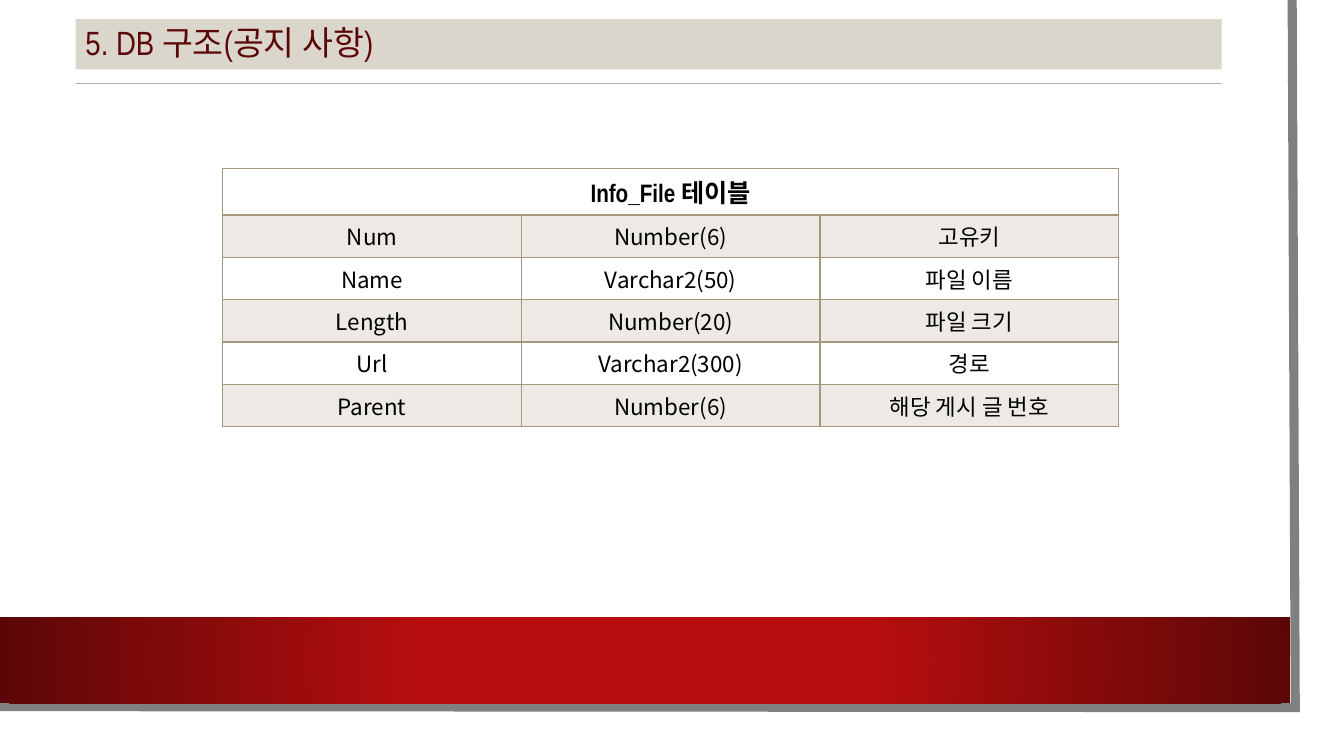
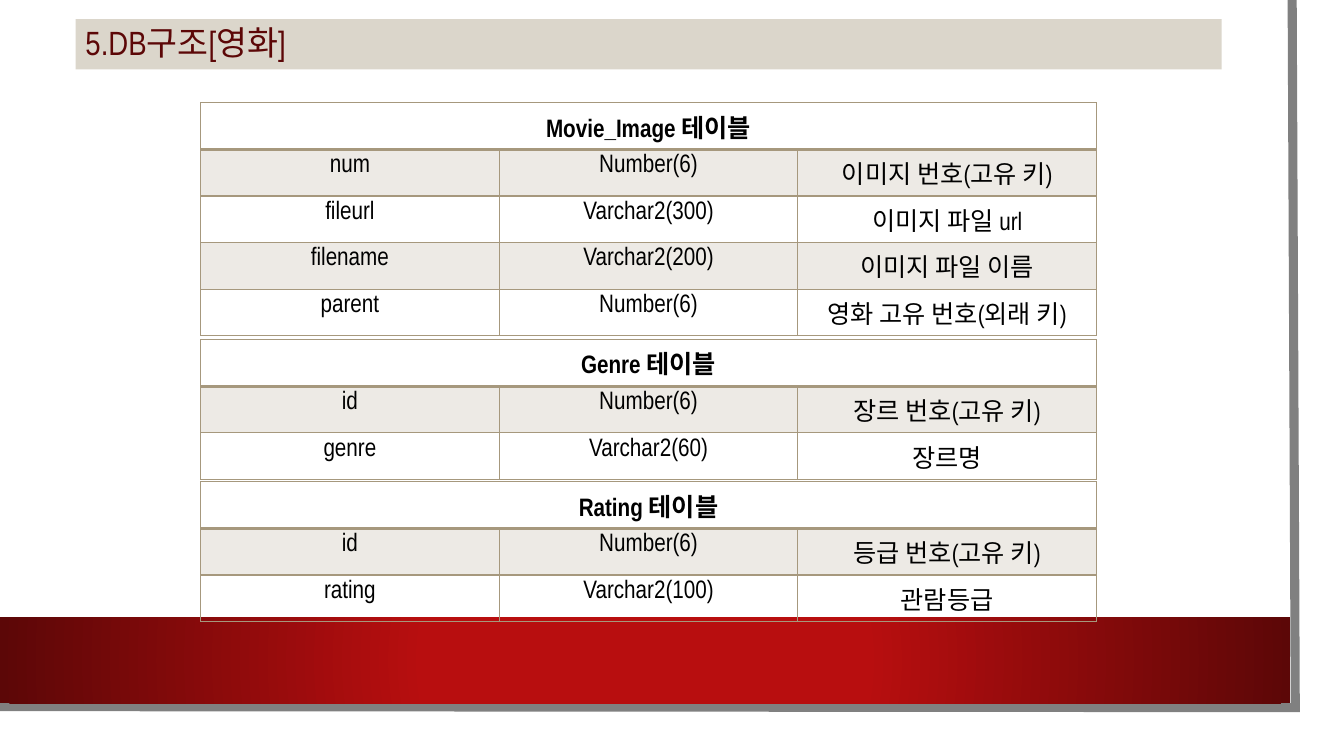
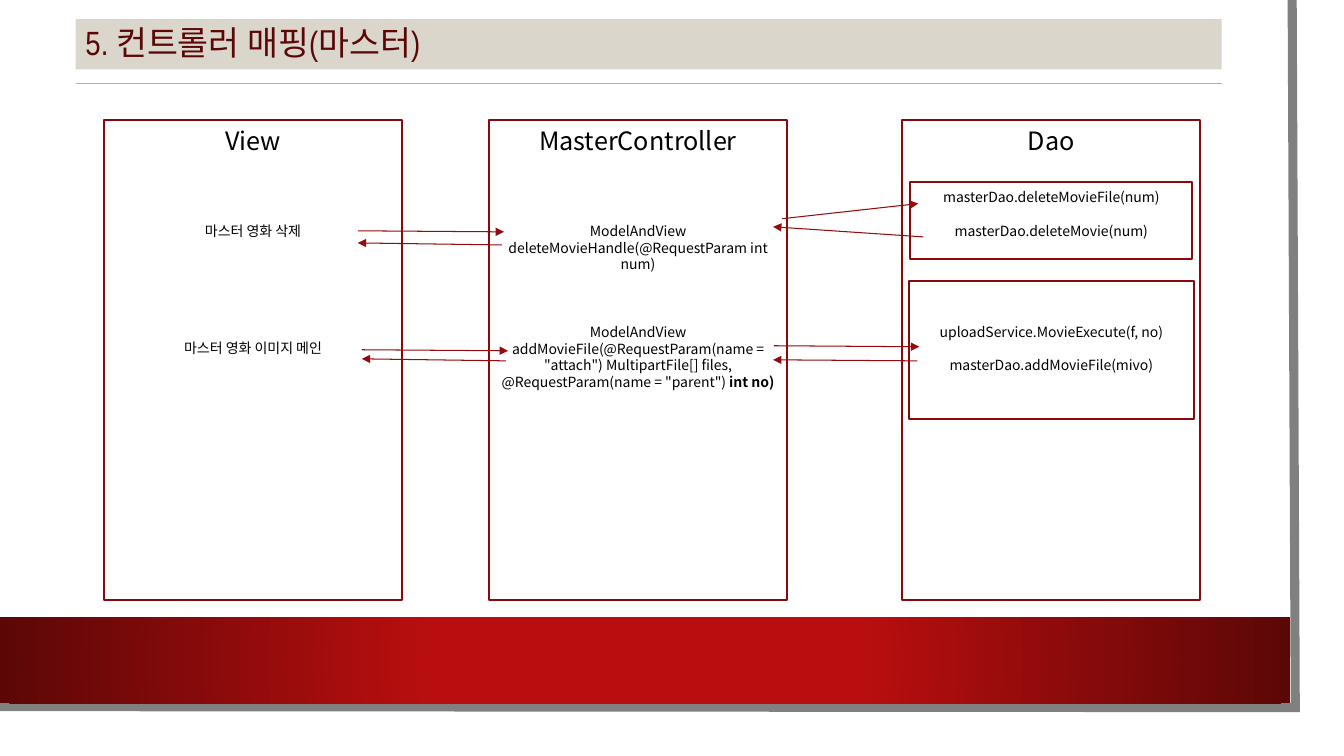
from lxml import etree
from pptx import Presentation
from pptx.dml.color import RGBColor
from pptx.enum.shapes import MSO_CONNECTOR, MSO_SHAPE
from pptx.enum.text import MSO_ANCHOR, PP_ALIGN
from pptx.oxml import parse_xml
from pptx.oxml.ns import nsdecls, qn
from pptx.util import Pt

RECT = MSO_SHAPE.RECTANGLE
STRAIGHT = MSO_CONNECTOR.STRAIGHT
LEFT, CENTER = PP_ALIGN.LEFT, PP_ALIGN.CENTER
TOP, MIDDLE = MSO_ANCHOR.TOP, MSO_ANCHOR.MIDDLE

NARROW, SANS = "Arial Narrow", "Noto Sans CJK KR"
WHITE, BLACK, GREY, RULE = "FFFFFF", "000000", "808080", "B0B0B0"
RED, DARK_RED, BOX_RED, ARROW_RED = "B80E0F", "5C0707", "880A0B", "930B0C"
SAND, TAN = "DBD6CB", "A6987D"


def paint(shape, fill=None, line=None, width=1):
    """Set fill and line from hex strings; None means no paint."""
    if hasattr(shape, "fill"):
        shape.shadow.inherit = False
        shape.fill.background()
        if fill:
            shape.fill.solid()
            shape.fill.fore_color.rgb = RGBColor.from_string(fill)
    else:
        etree.SubElement(shape._element.spPr, qn("a:effectLst"))
    if line:
        shape.line.color.rgb = RGBColor.from_string(line)
        shape.line.width = Pt(width)
    else:
        shape.line.fill.background()


def write(paragraph, text, color, align, font):
    """Add a run with the given font values."""
    paragraph.alignment = align
    run = paragraph.add_run()
    run.text = text
    for key, value in font.items():
        setattr(run.font, key, value)
    run.font.color.rgb = RGBColor.from_string(color)
    etree.SubElement(run._r.get_or_add_rPr(), qn("a:ea"), typeface=SANS)


prs = Presentation()
prs.slide_width, prs.slide_height = Pt(960), Pt(540)

# Shared frame, red band, title bar and rule
titles = [
    ("5. DB 구조(공지 사항)", True),
    ("5.DB구조[영화]", False),
    ("5. 컨트롤러 매핑(마스터)", True),
]
slides = []
for title, has_rule in titles:
    slide = prs.slides.add_slide(prs.slide_layouts[6])
    slides.append(slide)
    sheet = slide.shapes.add_shape(RECT, 0, 0, Pt(943.2), Pt(523.44))
    paint(sheet, WHITE)

    builder = slide.shapes.build_freeform(Pt(923), 0)
    builder.add_line_segments([(Pt(925.2), Pt(505.44)), (Pt(-2.16), Pt(504.72))], close=False)
    edge = builder.convert_to_shape()
    paint(edge, None, GREY, 6.5)
    etree.SubElement(edge.line._get_or_add_ln(), qn("a:miter"), lim="800000")

    band = slide.shapes.add_shape(RECT, 0, Pt(441), Pt(921.6), Pt(61.2))
    paint(band)
    properties = band._element.spPr
    properties.replace(properties.find(qn("a:noFill")), parse_xml(
        f'<a:gradFill {nsdecls("a")} rotWithShape="1"><a:gsLst>'
        f'<a:gs pos="34000"><a:srgbClr val="{RED}"/></a:gs>'
        f'<a:gs pos="100000"><a:srgbClr val="{DARK_RED}"/></a:gs></a:gsLst>'
        '<a:path path="circle"><a:fillToRect l="50000" t="50000" r="50000" b="50000"/>'
        '</a:path></a:gradFill>'))

    bar = slide.shapes.add_shape(RECT, Pt(54), Pt(13.68), Pt(818.64), Pt(36))
    paint(bar, SAND)
    bar.text_frame.vertical_anchor = MIDDLE
    heading = bar.text_frame.paragraphs[0]
    heading.line_spacing = 0.9
    write(heading, title, DARK_RED, LEFT, {"name": NARROW, "size": Pt(24)})
    if has_rule:
        rule = slide.shapes.add_connector(STRAIGHT, Pt(54), Pt(59.76), Pt(872.64), Pt(59.76))
        paint(rule, None, RULE, 0.75)

notice_slide, movie_slide, mapping_slide = slides

# Database tables: slide, left, top, header height, body size, body fonts, heading, rows
notice_fonts, movie_fonts = (SANS, SANS, NARROW), (NARROW, NARROW, NARROW)
tables = [
    (notice_slide, 159.12, 120.24, 29.52, 16, notice_fonts, "Info_File 테이블", [
        ("Num", "Number(6)", "고유키"),
        ("Name", "Varchar2(50)", "파일 이름"),
        ("Length", "Number(20)", "파일 크기"),
        ("Url", "Varchar2(300)", "경로"),
        ("Parent", "Number(6)", "해당 게시 글 번호")]),
    (movie_slide, 143.28, 73.44, 25.92, 18, movie_fonts, "Movie_Image 테이블", [
        ("num", "Number(6)", "이미지 번호(고유 키)"),
        ("fileurl", "Varchar2(300)", "이미지 파일 url"),
        ("filename", "Varchar2(200)", "이미지 파일 이름"),
        ("parent", "Number(6)", "영화 고유 번호(외래 키)")]),
    (movie_slide, 143.28, 242.64, 25.92, 18, movie_fonts, "Genre 테이블", [
        ("id", "Number(6)", "장르 번호(고유 키)"),
        ("genre", "Varchar2(60)", "장르명")]),
    (movie_slide, 143.28, 344.16, 25.92, 18, movie_fonts, "Rating 테이블", [
        ("id", "Number(6)", "등급 번호(고유 키)"),
        ("rating", "Varchar2(100)", "관람등급")]),
]
row_height = 29.52
for slide, left, top, header_height, size, fonts, heading, fields in tables:
    height = header_height + row_height * len(fields)
    table = slide.shapes.add_table(len(fields) + 1, 3, Pt(left), Pt(top), Pt(640), Pt(height)).table
    table.first_row = table.horz_banding = False
    for r, values in enumerate([(heading, "", "")] + fields):
        table.rows[r].height = Pt(row_height if r else header_height)
        for c, value in enumerate(values):
            cell = table.cell(r, c)
            for side in "LRTB":
                under_header = (r, side) in ((0, "B"), (1, "T"))
                cell._tc.get_or_add_tcPr().append(parse_xml(
                    f'<a:ln{side} {nsdecls("a")} w="{Pt(2 if under_header else 1)}">'
                    f'<a:solidFill><a:srgbClr val="{TAN}"/></a:solidFill></a:ln{side}>'))
            if r % 2:
                cell.fill.solid()
                cell.fill.fore_color.rgb = RGBColor.from_string(TAN)
                tint = cell._tc.tcPr.find(qn("a:solidFill"))[0]
                etree.SubElement(tint, qn("a:alpha"), val="20000")
            else:
                cell.fill.background()
            if value:
                font = ({"name": fonts[c], "size": Pt(size), "bold": False} if r
                        else {"name": NARROW, "size": Pt(18), "bold": True})
                write(cell.text_frame.paragraphs[0], value, BLACK, CENTER, font)
    table.cell(0, 0).merge(table.cell(0, 2))

# Layer columns: left, heading, then (lines of gap before, plain text, bold text)
layers = [
    (349.2, "MasterController", [
        (4, "ModelAndView deleteMovieHandle(@RequestParam int num)", ""),
        (3, 'ModelAndView addMovieFile(@RequestParam(name = "attach") MultipartFile[] files,', ""),
        (0, '@RequestParam(name = "parent") ', "int no)")]),
    (74.16, "View", [
        (4, "마스터 영화 삭제", ""),
        (6, "마스터 영화 이미지 메인", "")]),
    (644.4, "Dao", [
        (2, "masterDao.deleteMovieFile(num)", ""),
        (1, "masterDao.deleteMovie(num)", ""),
        (5, "uploadService.MovieExecute(f, no)", ""),
        (1, "masterDao.addMovieFile(mivo)", "")]),
]
for left, heading, calls in layers:
    layer = mapping_slide.shapes.add_shape(RECT, Pt(left), Pt(85.68), Pt(213.12), Pt(342.72))
    paint(layer, None, BOX_RED, 1.5)
    frame = layer.text_frame
    frame.word_wrap = True
    frame.vertical_anchor = TOP
    write(frame.paragraphs[0], heading, BLACK, CENTER, {"name": SANS, "size": Pt(18)})
    for gap, plain, bold in calls:
        call = frame.add_paragraph()
        call.space_before = Pt(12 * gap)
        write(call, plain, BLACK, CENTER, {"name": SANS, "size": Pt(10)})
        if bold:
            write(call, bold, BLACK, CENTER, {"name": SANS, "size": Pt(10), "bold": True})

# Groups of Dao calls
for left, top, width, height in [(650.16, 130.32, 201.6, 54.72), (649.44, 200.88, 203.76, 98.64)]:
    group = mapping_slide.shapes.add_shape(RECT, Pt(left), Pt(top), Pt(width), Pt(height))
    paint(group, None, BOX_RED, 1.5)

# Request and response arrows
arrows = [
    (255.6, 164.88, 360, 165.6), (358.56, 174.96, 255.6, 173.52),
    (558.72, 156.24, 655.92, 145.44), (659.52, 169.2, 552.24, 162),
    (552.96, 246.96, 656.64, 247.68), (655.2, 257.76, 552.24, 257.04),
    (258.48, 249.84, 362.88, 250.56), (361.44, 257.76, 258.48, 256.32),
]
for ends in arrows:
    arrow = mapping_slide.shapes.add_connector(STRAIGHT, *map(Pt, ends))
    paint(arrow, None, ARROW_RED, 0.75)
    etree.SubElement(arrow.line._get_or_add_ln(), qn("a:tailEnd"), type="triangle")

prs.save("out.pptx")
